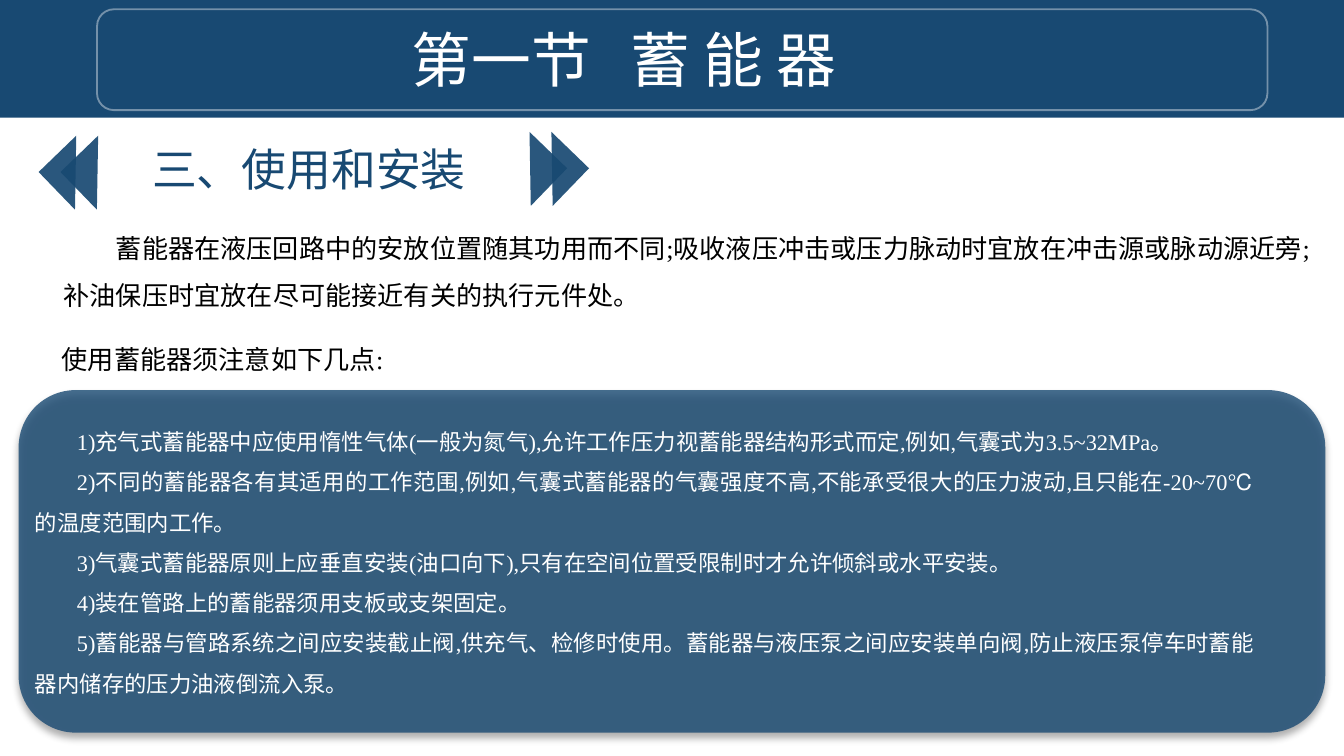
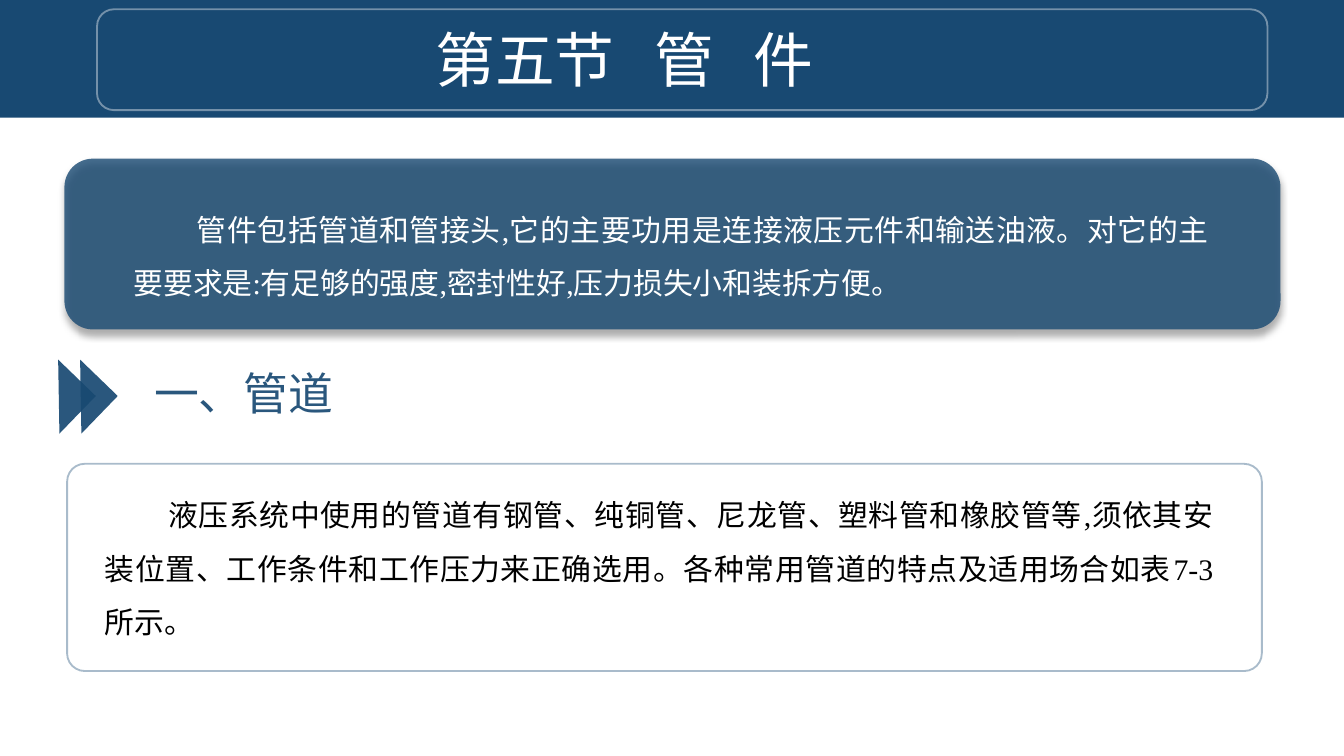
import pptx
import pptx.util
import pptx.dml.color
import pptx.enum.shapes
import pptx.enum.text
import pptx.oxml
import pptx.oxml.ns

Pt = pptx.util.Pt
SHAPE = pptx.enum.shapes.MSO_SHAPE
ALIGN = pptx.enum.text.PP_ALIGN

NAVY = "184972"
STEEL = "2A577D"
WHITE = "FFFFFF"
BLACK = "000000"
SANS = "Noto Sans CJK SC"
SERIF = "Times New Roman"
SYMBOL = "Arial"

SLIDE_WIDTH, SLIDE_HEIGHT = 720, 405
HEADER = (0, 0, SLIDE_WIDTH, 63)
ARROW_SIZE = 28
ARROW_STEP = 11.75

NOTES = [
    "1)充气式蓄能器中应使用惰性气体(一般为氮气),允许工作压力视蓄能器结构形式而定,例如,气囊式为3.5~32MPa。",
    "2)不同的蓄能器各有其适用的工作范围,例如,气囊式蓄能器的气囊强度不高,不能承受很大的压力波动,且只能在-20~70℃的温度范围内工作。",
    "3)气囊式蓄能器原则上应垂直安装(油口向下),只有在空间位置受限制时才允许倾斜或水平安装。",
    "4)装在管路上的蓄能器须用支板或支架固定。",
    "5)蓄能器与管路系统之间应安装截止阀,供充气、检修时使用。蓄能器与液压泵之间应安装单向阀,防止液压泵停车时蓄能器内储存的压力油液倒流入泵。",
]


def colour(fill, value, alpha=None):
    fill.solid()
    fill.fore_color.rgb = pptx.dml.color.RGBColor.from_string(value)
    if alpha is not None:
        tint = fill._xPr.xpath("./a:solidFill/a:srgbClr")[0]
        opacity = pptx.oxml.parse_xml(
            f'<a:alpha {pptx.oxml.ns.nsdecls("a")} val="{alpha * 1000}"/>')
        tint.append(opacity)


def place(shape, box):
    shape.left, shape.top, shape.width, shape.height = map(Pt, box)


def add_block(slide, kind, box, fill=None, line=None, alpha=None):
    block = slide.shapes.add_shape(kind, *map(Pt, box))
    block.shadow.inherit = False
    if fill:
        colour(block.fill, fill, alpha)
    else:
        block.fill.background()
    if line:
        colour(block.line.fill, line, alpha)
        block.line.width = Pt(1)
    else:
        block.line.fill.background()
    return block


def prepare(frame):
    frame.word_wrap = True
    frame.auto_size = pptx.enum.text.MSO_AUTO_SIZE.NONE
    frame.vertical_anchor = pptx.enum.text.MSO_ANCHOR.TOP


def style(paragraph, size, value, font, align=ALIGN.LEFT):
    paragraph.alignment = align
    paragraph.font.size = Pt(size)
    paragraph.font.name = font
    colour(paragraph.font.fill, value)


def write(frame, lines, size, value, font=SERIF, align=ALIGN.LEFT,
          indent=0, spacing=None):
    prepare(frame)
    for index, line in enumerate(lines):
        paragraph = frame.paragraphs[0] if index == 0 else frame.add_paragraph()
        before, degree, after = line.partition("℃")
        for piece in filter(None, (before, degree, after)):
            run = paragraph.add_run()
            run.text = piece
            if degree:
                run.font.name = SYMBOL if piece == degree else font
        layout = paragraph._p.get_or_add_pPr()
        layout.set("marL", "0")
        layout.set("indent", str(Pt(indent)))
        paragraph.line_spacing = spacing
        paragraph.space_before = Pt(0)
        layout.append(pptx.oxml.parse_xml(
            f'<a:buNone {pptx.oxml.ns.nsdecls("a")}/>'))
        style(paragraph, size, value, font, align)


def add_text(slide, box, text, size, value, **layout):
    caption = slide.shapes.add_textbox(*map(Pt, box))
    write(caption.text_frame, [text], size, value, **layout)


def add_band(deck, slide):
    band = add_block(slide, SHAPE.RECTANGLE, HEADER, NAVY)
    band.element.xpath(".//p:cNvPr")[0].set("id", "99")
    deck.slide_master.shapes.element.insert(2, band.element)


def add_header(slide, box, parts):
    left, top, width, height = box
    add_block(slide, SHAPE.ROUNDED_RECTANGLE,
              (left + 52, top + 5, width - 93, height - 9),
              line=WHITE, alpha=40)
    title = slide.shapes.title
    place(title, (left + 34, top + 8.5, width - 119, height - 17))
    prepare(title.text_frame)
    paragraph = title.text_frame.paragraphs[0]
    for index, part in enumerate(parts):
        if index:
            gap = paragraph.add_run()
            gap.text = " "
            gap._r.get_or_add_rPr().set("spc", "1400")
        paragraph.add_run().text = part
    style(paragraph, 32, WHITE, SANS, ALIGN.CENTER)


def add_panel(slide, box):
    panel = add_block(slide, SHAPE.ROUNDED_RECTANGLE, box, NAVY, alpha=80)
    effects = panel.element.spPr.xpath("./a:effectLst")[0]
    effects.append(pptx.oxml.parse_xml(
        f'<a:outerShdw {pptx.oxml.ns.nsdecls("a")} blurRad="{Pt(4)}" '
        f'dist="{Pt(3)}" dir="5400000" rotWithShape="0">'
        f'<a:srgbClr val="{BLACK}"><a:alpha val="40000"/></a:srgbClr>'
        '</a:outerShdw>'))
    slide.shapes.element.insert(2, panel.element)


def add_arrows(slide, left, top, forward=True):
    for index in range(2):
        arrow = add_block(slide, SHAPE.RIGHT_TRIANGLE,
                          (left + index * ARROW_STEP, top, ARROW_SIZE, ARROW_SIZE),
                          NAVY, alpha=92)
        arrow.rotation = 44 if forward else 316
        transform = arrow.element.spPr.xfrm
        transform.set("flipV", "1")
        if forward:
            transform.set("flipH", "1")


def add_notes_list(slide, box):
    left, top, width, height = box
    add_panel(slide, box)
    notes = slide.placeholders[1]
    place(notes, (left + 1.5, top + 9.5, width - 32.5, height - 24))
    write(notes.text_frame, NOTES, 12, WHITE, align=ALIGN.JUSTIFY,
          indent=22.5, spacing=1.5)


def add_summary(slide, box, text):
    left, top, width, height = box
    add_panel(slide, box)
    add_text(slide, (left + 30, top + 15, width - 61, height - 29), text, 16,
             WHITE, align=ALIGN.JUSTIFY, indent=34, spacing=1.5)


def add_outlined_text(slide, box, text):
    left, top, width, height = box
    add_text(slide, (left + 13, top + 4.5, width - 32, height - 17), text, 16,
             BLACK, align=ALIGN.JUSTIFY, indent=34, spacing=1.5)
    outline = add_block(slide, SHAPE.ROUNDED_RECTANGLE, box, line=NAVY, alpha=36)
    outline.adjustments[0] = 0.085


def build_accumulator(slide):
    add_header(slide, HEADER, ["第一节", "蓄 能 器"])
    add_text(slide, (60, 72.5, 211, 36), "三、使用和安装", 24, NAVY,
             font=SANS, align=ALIGN.CENTER)
    add_arrows(slide, 26.5, 78.5, forward=False)
    add_arrows(slide, 270, 76.5)
    add_text(slide, (27, 112.5, 682.5, 55.5),
             "蓄能器在液压回路中的安放位置随其功用而不同;吸收液压冲击或压力脉动时宜放在冲击源或脉动源近旁;"
             "补油保压时宜放在尽可能接近有关的执行元件处。",
             14, BLACK, indent=28, spacing=1.5)
    add_text(slide, (10, 185, 204.5, 19.5), "使用蓄能器须注意如下几点:",
             14, BLACK, indent=16, spacing=Pt(12))
    add_notes_list(slide, (10, 209, 700, 183.5))


def build_pipe_fittings(slide):
    add_header(slide, HEADER, ["第五节", "管", "件"])
    add_summary(slide, (34.5, 85, 651.5, 91.5),
                "管件包括管道和管接头,它的主要功用是连接液压元件和输送油液。"
                "对它的主要要求是:有足够的强度,密封性好,压力损失小和装拆方便。")
    add_arrows(slide, 17.5, 198.5)
    add_text(slide, (75.5, 192.5, 130, 36), "一、管道", 24, STEEL)
    add_outlined_text(slide, (36, 248.5, 640, 111),
                      "液压系统中使用的管道有钢管、纯铜管、尼龙管、塑料管和橡胶管等,"
                      "须依其安装位置、工作条件和工作压力来正确选用。"
                      "各种常用管道的特点及适用场合如表7-3所示。")


def main():
    deck = pptx.Presentation()
    deck.slide_width, deck.slide_height = Pt(SLIDE_WIDTH), Pt(SLIDE_HEIGHT)
    accumulator = deck.slides.add_slide(deck.slide_layouts[1])
    add_band(deck, accumulator)
    build_accumulator(accumulator)
    build_pipe_fittings(deck.slides.add_slide(deck.slide_layouts[5]))
    deck.save("out.pptx")


if __name__ == "__main__":
    main()
